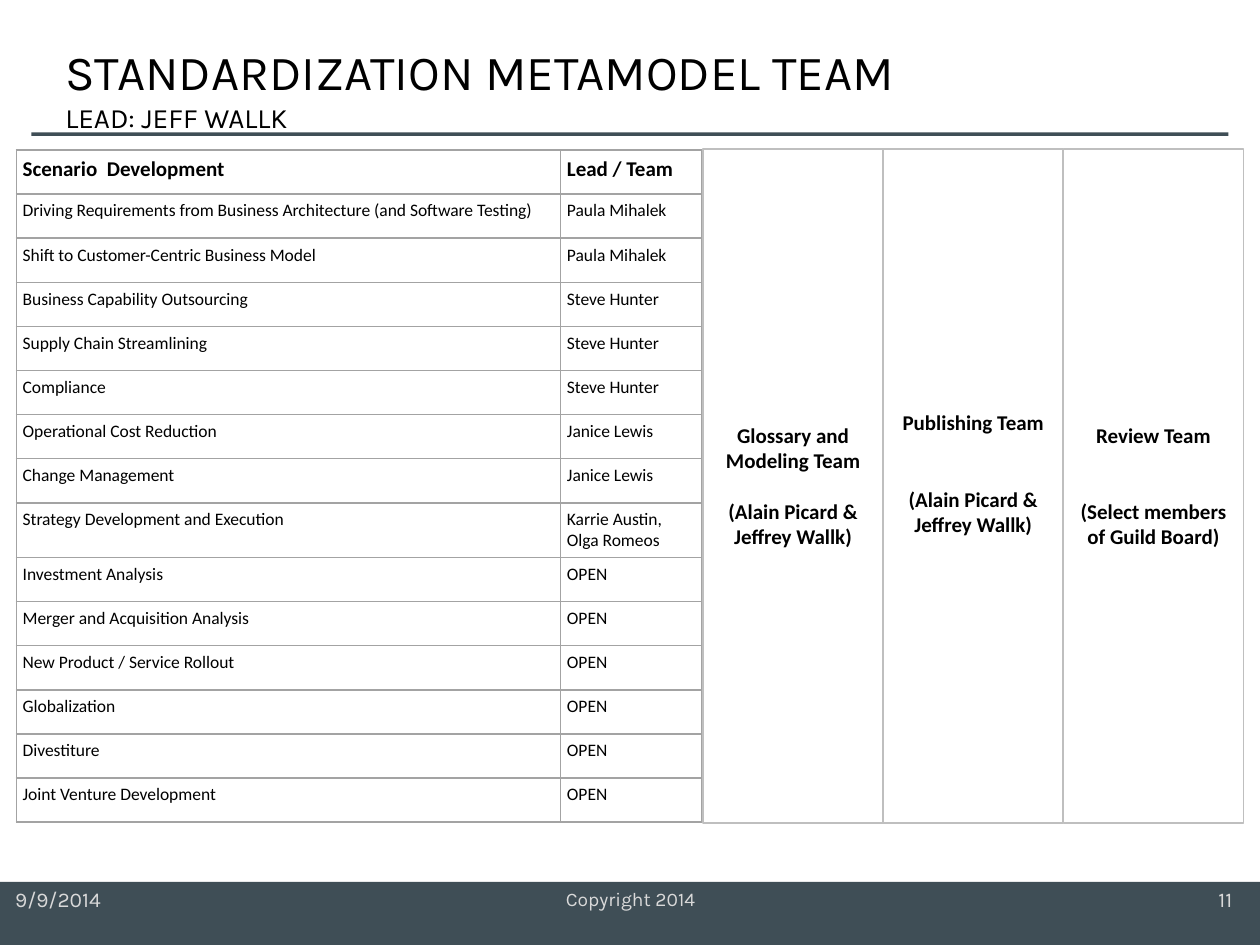
from lxml import etree
from pptx import Presentation
from pptx.dml.color import RGBColor
from pptx.enum.shapes import MSO_SHAPE
from pptx.enum.text import MSO_ANCHOR, PP_ALIGN
from pptx.oxml.ns import qn
from pptx.util import Inches, Pt

SLATE = RGBColor(0x3F, 0x4E, 0x56)
PALE = RGBColor(0xD9, 0xD9, 0xD9)
BLACK = RGBColor(0, 0, 0)
CELL_BORDER = RGBColor(0xA3, 0xA3, 0xA3)
PANEL_BORDER = RGBColor(0xBF, 0xBF, 0xBF)

SCENARIOS = [
    ("Scenario  Development", "Lead / Team"),
    ("Driving Requirements from Business Architecture (and Software Testing)", "Paula Mihalek"),
    ("Shift to Customer-Centric Business Model", "Paula Mihalek"),
    ("Business Capability Outsourcing", "Steve Hunter"),
    ("Supply Chain Streamlining", "Steve Hunter"),
    ("Compliance", "Steve Hunter"),
    ("Operational Cost Reduction", "Janice Lewis"),
    ("Change Management", "Janice Lewis"),
    ("Strategy Development and Execution", "Karrie Austin, Olga Romeos"),
    ("Investment Analysis", "OPEN"),
    ("Merger and Acquisition Analysis", "OPEN"),
    ("New Product / Service Rollout", "OPEN"),
    ("Globalization", "OPEN"),
    ("Divestiture", "OPEN"),
    ("Joint Venture Development", "OPEN"),
]
# team, members, points between them, bottom inset in inches
TEAMS = [
    ("Glossary and Modeling Team", "(Alain Picard & Jeffrey Wallk)", 14.65, 0.05),
    ("Publishing Team", "(Alain Picard & Jeffrey Wallk)", 29.3, 0.25),
    ("Review Team", "(Select members of Guild Board)", 29.3, 0.05),
]


def style(font, **values):
    color = values.pop("color", BLACK)
    for name, value in values.items():
        setattr(font, name, value)
    font.color.rgb = color


def set_insets(frame, inset):
    for side in ("left", "top", "right", "bottom"):
        setattr(frame, f"margin_{side}", Inches(inset))


def add_rectangle(slide, left, top, width, height):
    rectangle = slide.shapes.add_shape(
        MSO_SHAPE.RECTANGLE, Inches(left), Inches(top), Inches(width), Inches(height))
    rectangle.shadow.inherit = False
    return rectangle


def add_bar(slide, *box):
    bar = add_rectangle(slide, *box)
    bar.fill.solid()
    bar.fill.fore_color.rgb = SLATE
    bar.line.fill.background()


def add_text_frame(slide, left, top, width, height):
    return slide.shapes.add_textbox(
        Inches(left), Inches(top), Inches(width), Inches(height)).text_frame


def add_title(slide, *box):
    frame = add_text_frame(slide, *box)
    frame.word_wrap = True
    frame.vertical_anchor = MSO_ANCHOR.MIDDLE
    heading = frame.paragraphs[0]
    for index, (text, size) in enumerate(
            [("STANDARDIZATION METAMODEL TEAM", 28), ("LEAD: JEFF WALLK", 16)]):
        if index:
            heading.add_line_break()
        run = heading.add_run()
        run.text = text
        style(run.font, name="Karla", size=Pt(size))


def add_footer(slide, left, top, width, height):
    add_bar(slide, left, top, width, height)
    for text, box, size, align in [
        ("9/9/2014", (left + 0.12, top + 0.04, 0.75, 0.2), 12, PP_ALIGN.LEFT),
        ("11", (left + 9.62, top + 0.04, 0.21, 0.2), 12, PP_ALIGN.CENTER),
        ("Copyright 2014", (left + 2.42, top - 0.01, 5.17, 0.3), 11, PP_ALIGN.CENTER),
    ]:
        frame = add_text_frame(slide, *box)
        if size == 12:
            set_insets(frame, 0)
            frame.vertical_anchor = MSO_ANCHOR.MIDDLE
            frame.word_wrap = False
        else:
            frame.word_wrap = True
        label = frame.paragraphs[0]
        label.text = text
        label.alignment = align
        style(label.font, name="Karla", size=Pt(size), color=PALE)


def add_cell_borders(cell):
    properties = cell._tc.get_or_add_tcPr()
    for position, side in enumerate(("a:lnL", "a:lnR", "a:lnT", "a:lnB")):
        border = etree.Element(qn(side), w=str(Pt(1)))
        fill = etree.SubElement(border, qn("a:solidFill"))
        etree.SubElement(fill, qn("a:srgbClr"), val=str(CELL_BORDER))
        properties.insert(position, border)


def add_scenario_table(slide, left, top, widths, row_height):
    table = slide.shapes.add_table(
        len(SCENARIOS), len(widths), Inches(left), Inches(top),
        Inches(sum(widths)), Inches(row_height * len(SCENARIOS))).table
    table.first_row = table.horz_banding = False
    for column, width in zip(table.columns, widths):
        column.width = Inches(width)
    for row_index, entries in enumerate(SCENARIOS):
        table.rows[row_index].height = Inches(row_height)
        is_header = row_index == 0
        for column_index, text in enumerate(entries):
            cell = table.cell(row_index, column_index)
            set_insets(cell, 0.05)
            cell.fill.background()
            add_cell_borders(cell)
            cell.text = text
            style(cell.text_frame.paragraphs[0].font, name="Calibri",
                  size=Pt(12 if is_header else 10), bold=is_header)


def add_team_panels(slide, left, top, width, height):
    for index, (team, members, gap, bottom_inset) in enumerate(TEAMS):
        panel = add_rectangle(slide, left + index * width, top, width, height)
        panel.fill.background()
        panel.line.color.rgb = PANEL_BORDER
        panel.line.width = Pt(1)
        frame = panel.text_frame
        frame.word_wrap = True
        frame.vertical_anchor = MSO_ANCHOR.MIDDLE
        frame.margin_bottom = Inches(bottom_inset)
        frame.text = f"{team}\n{members}"
        for paragraph in frame.paragraphs:
            paragraph.alignment = PP_ALIGN.CENTER
            style(paragraph.font, name="Calibri", size=Pt(12), bold=True)
        frame.paragraphs[1].space_before = Pt(gap)


def main():
    presentation = Presentation()
    presentation.slide_width = Inches(10)
    presentation.slide_height = Inches(7.5)
    slide = presentation.slides.add_slide(presentation.slide_layouts[6])
    add_footer(slide, 0, 7, 10, 0.5)
    add_bar(slide, 0.25, 1.05, 9.5, 0.03)
    add_title(slide, 0.42, 0.4, 7.5, 0.6)
    add_scenario_table(slide, 0.13, 1.19, (4.32, 1.12), 0.35)
    add_team_panels(slide, 5.58, 1.18, 1.43, 5.35)
    presentation.save("out.pptx")


if __name__ == "__main__":
    main()
